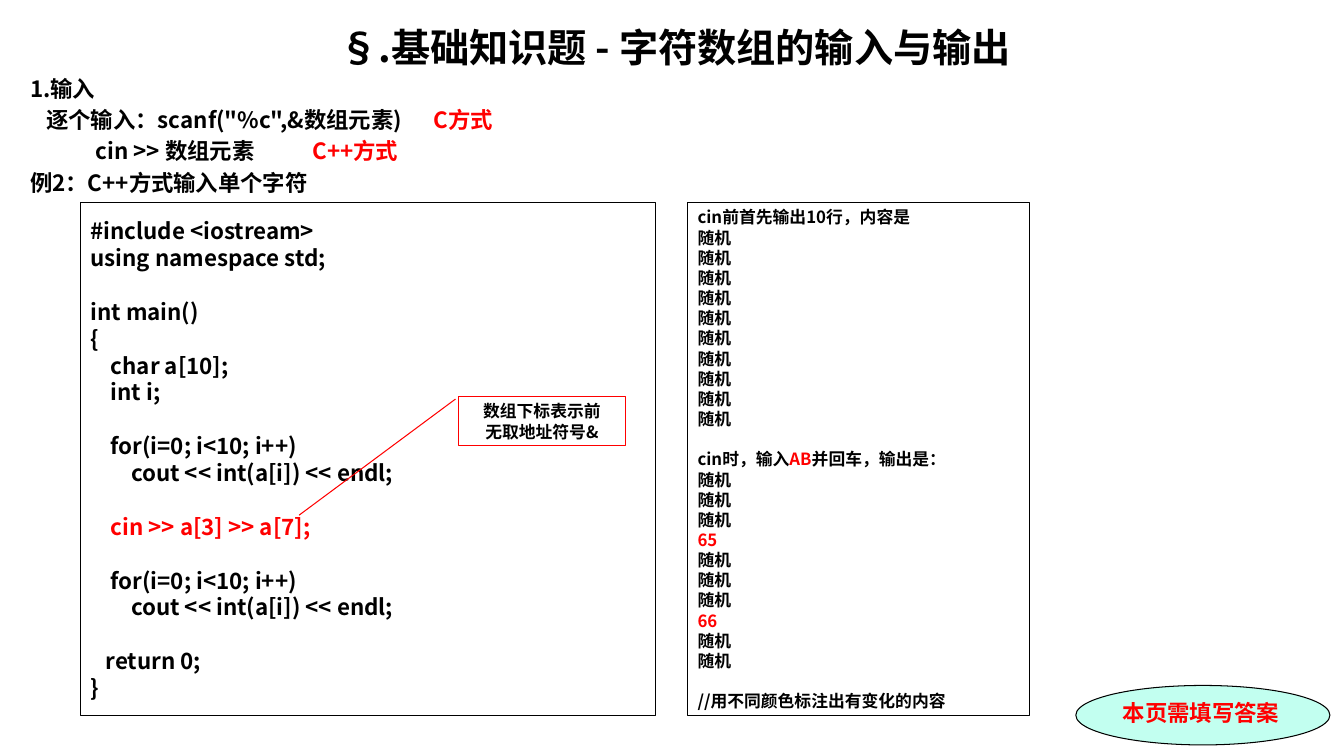
from collections import namedtuple

from lxml import etree
from pptx import Presentation
from pptx import util as u
from pptx.dml.color import RGBColor
from pptx.enum import shapes, text
from pptx.oxml import ns

COLUMNS, ROWS = 133.3, 75
WIDTH, HEIGHT = u.Inches(13.33), u.Inches(7.5)
FONT = "Noto Sans CJK SC"
BLACK, RED, MINT = "000000", "FF0000", "C2FFF0"
LINE_HEIGHT = 1.2
Box = namedtuple("Box", "left top width height")

CODE = """#include <iostream>
using namespace std;

int main()
{
    char a[10];
    int i;

    for(i=0; i<10; i++)
        cout << int(a[i]) << endl;

    cin >> a[3] >> a[7];

    for(i=0; i<10; i++)
        cout << int(a[i]) << endl;

   return 0;
}"""


def color(value):
    return RGBColor.from_string(value)


def across(columns):
    return round(WIDTH * columns / COLUMNS)


def down(rows):
    return round(HEIGHT * rows / ROWS)


def place(box):
    return across(box.left), down(box.top), across(box.width), down(box.height)


def apply(target, values):
    for name, value in values.items():
        setattr(target, name, value)


def add_tabs(paragraph, stops):
    tabs = etree.SubElement(paragraph._p.get_or_add_pPr(), ns.qn("a:tabLst"))
    for stop in stops:
        etree.SubElement(tabs, ns.qn("a:tab"), pos=str(across(stop)), algn="l")


def add_runs(paragraph, runs, size, font=FONT):
    for content, tint in runs:
        run = paragraph.add_run()
        run.text = content
        apply(run.font, {"size": u.Pt(size), "bold": True, "name": font})
        run.font.color.rgb = color(tint)
        latin = run._r.rPr.find(ns.qn("a:latin"))
        latin.addnext(latin.makeelement(ns.qn("a:ea"), {"typeface": FONT}))


def next_paragraph(frame, first):
    return frame.paragraphs[0] if first else frame.add_paragraph()


def write_lines(frame, lines, size, align=text.PP_ALIGN.LEFT, font=FONT):
    gap, first = 0, True
    for runs in lines:
        if not runs:
            gap += size * LINE_HEIGHT
            continue
        paragraph = next_paragraph(frame, first)
        apply(paragraph, {"alignment": align, "space_before": u.Pt(gap)})
        add_runs(paragraph, runs, size, font)
        gap, first = 0, False


def add_outlined(slide, kind, box, line=BLACK, fill=None, anchor=text.MSO_ANCHOR.TOP):
    shape = slide.shapes.add_shape(kind, *place(box))
    shape.shadow.inherit = False
    shape.line.color.rgb = color(line)
    shape.line.width = u.Pt(0.75)
    if fill:
        shape.fill.solid()
        shape.fill.fore_color.rgb = color(fill)
    else:
        shape.fill.background()
    apply(shape.text_frame, {"word_wrap": True, "vertical_anchor": anchor})
    return shape


def add_heading(slide, box):
    frame = slide.shapes.add_textbox(*place(box)).text_frame
    frame.word_wrap = True
    rows = [
        (28, [("§.基础知识题 - 字符数组的输入与输出", BLACK)], []),
        (16, [("1.输入", BLACK)], []),
        (16, [("\t逐个输入：scanf(\"%c\",&数组元素)\t", BLACK), ("C方式", RED)], [1.6, 40]),
        (16, [("\tcin >> 数组元素\t", BLACK), ("C++方式", RED)], [6.5, 28]),
        (16, [("例2：C++方式输入单个字符", BLACK)], []),
    ]
    for index, (size, runs, stops) in enumerate(rows):
        paragraph = next_paragraph(frame, index == 0)
        apply(paragraph, {
            "alignment": text.PP_ALIGN.LEFT if index else text.PP_ALIGN.CENTER,
            "space_before": u.Pt(size * 0.2 if index else 0),
        })
        if stops:
            add_tabs(paragraph, stops)
        add_runs(paragraph, runs, size)


def add_code_panel(slide, box):
    panel = add_outlined(slide, shapes.MSO_SHAPE.RECTANGLE, box, anchor=text.MSO_ANCHOR.MIDDLE)
    lines = [[(line, RED if "cin" in line else BLACK)] if line else []
             for line in CODE.split("\n")]
    write_lines(panel.text_frame, lines, 16)


def add_output_panel(slide, box):
    panel = add_outlined(slide, shapes.MSO_SHAPE.RECTANGLE, box, anchor=text.MSO_ANCHOR.MIDDLE)
    random = [("随机", BLACK)]
    lines = [
        [("cin前首先输出10行，内容是", BLACK)],
        *[random] * 10,
        [],
        [("cin时，输入", BLACK), ("AB", RED), ("并回车，输出是：", BLACK)],
        *[random] * 3,
        [("65", RED)],
        *[random] * 3,
        [("66", RED)],
        *[random] * 2,
        [],
        [("//用不同颜色标注出有变化的内容", BLACK)],
    ]
    write_lines(panel.text_frame, lines, 12)


def add_callout(slide, code_box):
    box = Box(code_box.left + 37.5, code_box.top + 19.2, 16.5, 4.9)
    callout = add_outlined(slide, shapes.MSO_SHAPE.LINE_CALLOUT_1, box, RED)
    for index, value in enumerate((0.06, -0.02, 2.41, -0.96)):
        callout.adjustments[index] = value
    lines = [[("数组下标表示前", BLACK)], [("无取地址符号&", BLACK)]]
    write_lines(callout.text_frame, lines, 12, text.PP_ALIGN.CENTER)


def add_answer_badge(slide, box):
    badge = add_outlined(slide, shapes.MSO_SHAPE.OVAL, box, fill=MINT)
    write_lines(badge.text_frame, [[("本页需填写答案", RED)]], 16, font="Times New Roman")


def main():
    presentation = Presentation()
    apply(presentation, {"slide_width": WIDTH, "slide_height": HEIGHT})
    slide = presentation.slides.add_slide(presentation.slide_layouts[6])
    code_box = Box(8, 20.1, 57, 50.9)
    output_box = code_box._replace(left=68.2, width=33.9)
    add_heading(slide, Box(2, 1.8, 129.9, 70.9))
    add_answer_badge(slide, Box(106.7, 68, 25.2, 5.9))
    add_code_panel(slide, code_box)
    add_output_panel(slide, output_box)
    add_callout(slide, code_box)
    presentation.save("out.pptx")


if __name__ == "__main__":
    main()
